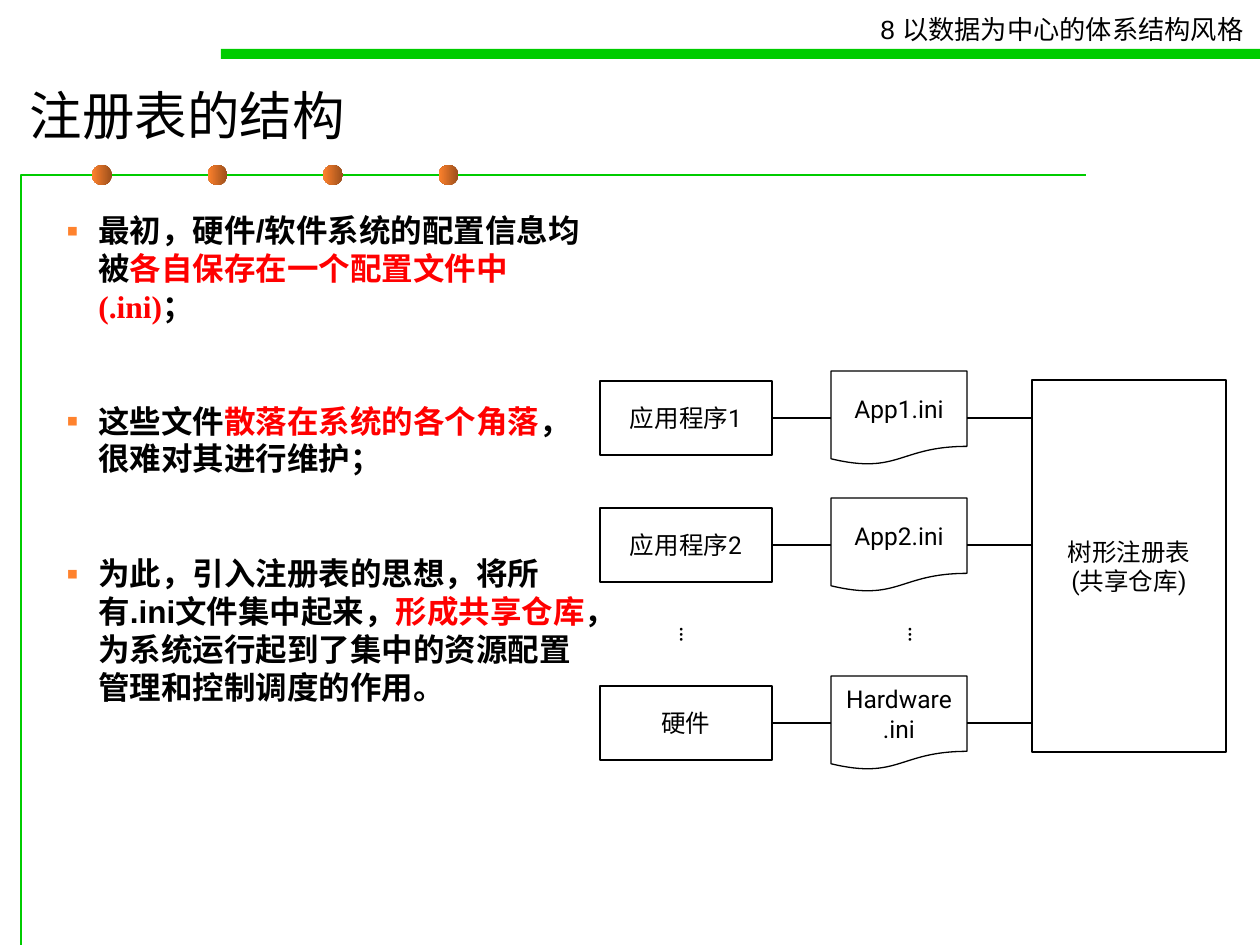
from dataclasses import dataclass

from lxml.etree import SubElement
from pptx import Presentation
from pptx.dml.color import RGBColor as Rgb
from pptx.enum.shapes import MSO_CONNECTOR as Connector, MSO_SHAPE as Shape
from pptx.enum.text import MSO_ANCHOR as Anchor, MSO_AUTO_SIZE as AutoSize, PP_ALIGN as Align
from pptx.oxml.ns import qn
from pptx.util import Emu, Pt

PX = 914400 / 126  # EMU in one px


@dataclass(frozen=True)
class Theme:
    black: str = "000000"
    white: str = "FFFFFF"
    green: str = "00CC00"
    red: str = "FF0000"
    orange: str = "FF822D"
    brown: str = "9A4E1B"
    sans: str = "Arial"
    serif: str = "Times New Roman"
    diagram: str = "Roboto"
    title_size: int = 30
    header_size: int = 15
    body_size: int = 18
    diagram_size: int = 14
    line: float = 0.75
    bullet_gap: int = 44


THEME = Theme()


def px(*lengths):
    return [Emu(round(length * PX)) for length in lengths]


def rgb(color):
    return Rgb.from_string(color)


def add_span(para, text, font, size, color=THEME.black, bold=False):
    span = para.add_run()
    span.text = text
    span.font.name = font
    span.font.size = Pt(size)
    span.font.bold = bold
    span.font.color.rgb = rgb(color)


def set_line(shape, color):
    shape.line.color.rgb = rgb(color)
    shape.line.width = Pt(THEME.line)


def add_text_box(page, left, top, width, height, wrap=False):
    box = page.shapes.add_textbox(*px(left, top, width, height))
    box.text_frame.word_wrap = wrap
    return box


def add_node(page, kind, left, top, width, height, lines):
    """Outlined white diagram shape with centred lines of text."""
    node = page.shapes.add_shape(kind, *px(left, top, width, height))
    node.shadow.inherit = False
    node.fill.solid()
    node.fill.fore_color.rgb = rgb(THEME.white)
    set_line(node, THEME.black)
    frame = node.text_frame
    frame.word_wrap = False
    frame.vertical_anchor = Anchor.MIDDLE
    for index, line in enumerate(lines):
        para = frame.add_paragraph() if index else frame.paragraphs[0]
        para.alignment = Align.CENTER
        add_span(para, line, THEME.diagram, THEME.diagram_size)
    return node


def add_link(page, start, end_x, y, end=None):
    """Line from the right side of one node to the left side of another."""
    begin_x = start.left + start.width
    link = page.shapes.add_connector(
        Connector.STRAIGHT, begin_x, *px(y, end_x, y))
    set_line(link, THEME.black)
    SubElement(link.element.spPr, qn("a:effectLst"))
    link.begin_connect(start, 3)
    if end is not None:
        link.end_connect(end, 1)


def add_ellipsis(page, left, top):
    box = add_text_box(page, left, top, 54, 33)
    frame = box.text_frame
    frame.margin_left, frame.margin_right = px(6, 6)
    frame.margin_top, frame.margin_bottom = px(13, 13)
    frame.auto_size = AutoSize.SHAPE_TO_FIT_TEXT
    box.element.txBody.find(qn("a:bodyPr")).set("vert", "eaVert")
    add_span(frame.paragraphs[0], "…", THEME.diagram, THEME.diagram_size)


def set_bullet(para):
    props = para._p.get_or_add_pPr()
    indent = px(32)[0]
    props.set("marL", str(indent))
    props.set("indent", str(-indent))
    color = SubElement(props, qn("a:buClr"))
    SubElement(color, qn("a:srgbClr"), val=THEME.orange)
    SubElement(props, qn("a:buSzPct"), val="110000")
    SubElement(props, qn("a:buFont"), typeface=THEME.sans)
    SubElement(props, qn("a:buChar"), char="▪")


def add_frame(page):
    # Corner line with its beads
    builder = page.shapes.build_freeform(21, 945, scale=PX)
    builder.add_line_segments([(21, 175), (1086, 175)], close=False)
    corner = builder.convert_to_shape()
    corner.shadow.inherit = False
    corner.fill.background()
    set_line(corner, THEME.green)
    for index in range(4):
        bead = page.shapes.add_shape(
            Shape.OVAL, *px(92 + 115.5 * index, 165, 20, 20))
        bead.shadow.inherit = False
        bead.line.fill.background()
        bead.fill.gradient()
        bead.fill.gradient_angle = 180
        for stop, color in zip(bead.fill.gradient_stops, (THEME.brown, THEME.orange)):
            stop.color.rgb = rgb(color)

    # Header bar and chapter name
    bar = page.shapes.add_shape(Shape.RECTANGLE, *px(221, 49, 1039, 10))
    bar.shadow.inherit = False
    bar.fill.solid()
    bar.fill.fore_color.rgb = rgb(THEME.green)
    bar.line.fill.background()
    header = add_text_box(page, 868, 7, 392, 44)
    header.text_frame.margin_right = 0
    add_span(header.text_frame.paragraphs[0], "8 以数据为中心的体系结构风格",
             THEME.sans, THEME.header_size)


def add_title(page, text):
    title = page.shapes.title
    title.left, title.top, title.width, title.height = px(17, 70, 1170, 89)
    frame = title.text_frame
    frame.auto_size = AutoSize.NONE
    frame.vertical_anchor = Anchor.MIDDLE
    para = frame.paragraphs[0]
    para.alignment = Align.LEFT
    add_span(para, text, THEME.sans, THEME.title_size)


def add_bullets(page, items):
    """Each item is text before, a red emphasis, and text after."""
    frame = add_text_box(page, 54, 205, 554, 704, wrap=True).text_frame
    for index, (before, emphasis, after) in enumerate(items):
        para = frame.add_paragraph() if index else frame.paragraphs[0]
        set_bullet(para)
        if index:
            para.space_before = Pt(THEME.bullet_gap)
        add_span(para, before, THEME.sans, THEME.body_size, bold=True)
        add_span(para, emphasis, THEME.serif, THEME.body_size, THEME.red, bold=True)
        add_span(para, after, THEME.sans, THEME.body_size, bold=True)


def add_diagram(page):
    rows = [
        (418, "应用程序1", ["App1.ini"]),
        (545, "应用程序2", ["App2.ini"]),
        (723, "硬件", ["Hardware", ".ini"]),
    ]
    registry_left, file_left = 1032, 831
    add_node(page, Shape.RECTANGLE, registry_left, 380, 194, 372,
             ["树形注册表", "(共享仓库)"])
    for middle, source_name, file_lines in rows:
        source = add_node(page, Shape.RECTANGLE, 600, middle - 37, 172, 74, [source_name])
        file = add_node(page, Shape.FLOWCHART_DOCUMENT, file_left, middle - 47, 136, 94,
                        file_lines)
        add_link(page, source, file_left, middle, file)
        add_link(page, file, registry_left, middle)
    for left in (654, 883):
        add_ellipsis(page, left, 614)


def main():
    deck = Presentation()
    deck.slide_width, deck.slide_height = px(1260, 945)
    page = deck.slides.add_slide(deck.slide_layouts[5])
    add_frame(page)
    add_title(page, "注册表的结构")
    add_bullets(page, [
        ("最初，硬件/软件系统的配置信息均被", "各自保存在一个配置文件中(.ini)", "；"),
        ("这些文件", "散落在系统的各个角落", "，很难对其进行维护；"),
        ("为此，引入注册表的思想，将所有.ini文件集中起来，", "形成共享仓库",
         "，为系统运行起到了集中的资源配置管理和控制调度的作用。"),
    ])
    add_diagram(page)
    deck.save("out.pptx")


if __name__ == "__main__":
    main()
